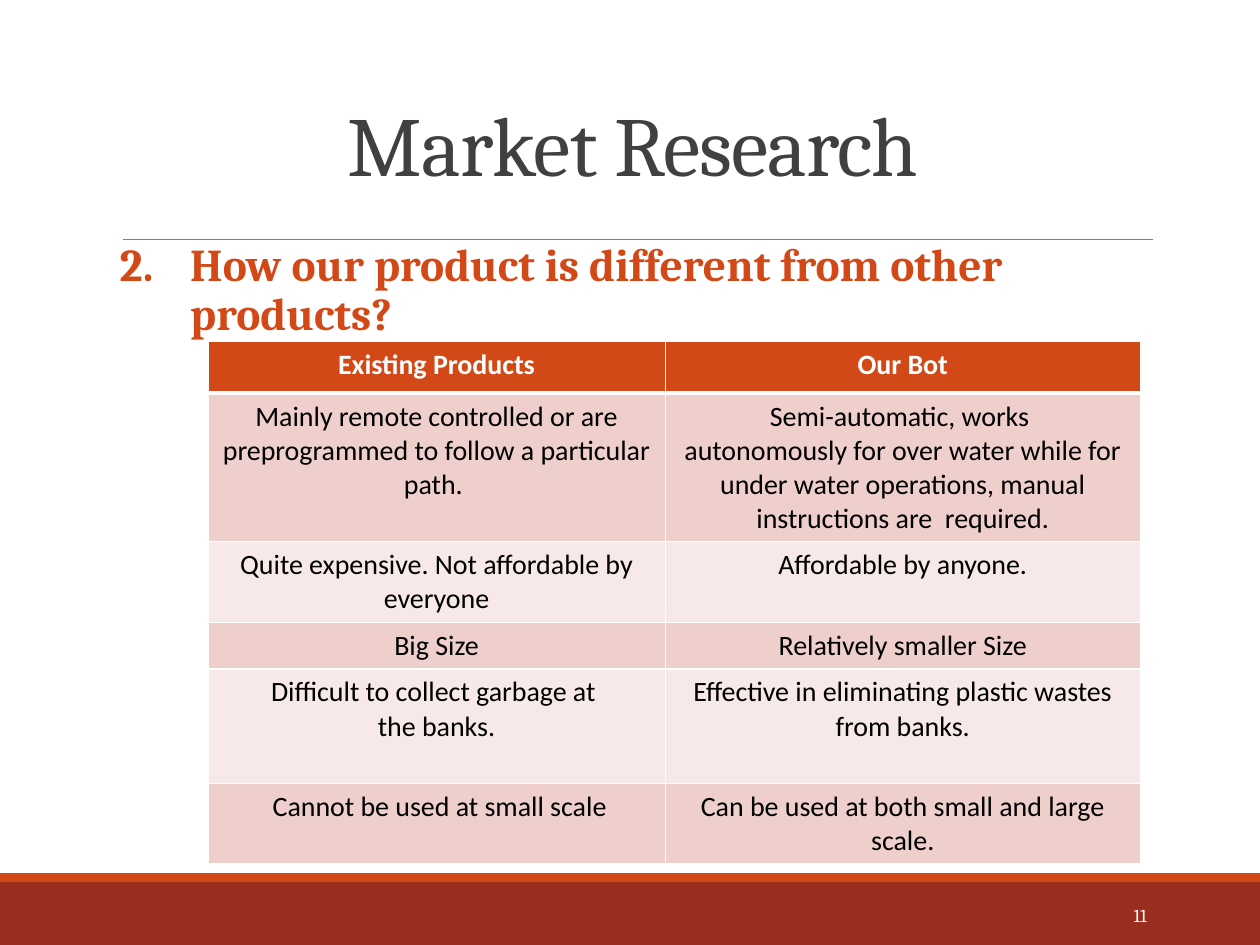
from dataclasses import dataclass

from lxml.etree import SubElement
from pptx import Presentation
from pptx.dml.color import RGBColor
from pptx.enum.shapes import MSO_CONNECTOR, MSO_SHAPE
from pptx.enum.text import MSO_ANCHOR, MSO_AUTO_SIZE, PP_ALIGN
from pptx.oxml.ns import qn
from pptx.util import Inches, Pt

# Content
TITLE = "Market Research"
HEADING = "How our product is different from other products?"
HEADING_NUMBER = 2
PAGE_NUMBER = "11"
COMPARISON = [
    ("Existing Products", "Our Bot"),
    ("Mainly remote controlled or are preprogrammed to follow a particular path. ",
     "Semi-automatic, works \nautonomously for over water while for under water "
     "operations, manual instructions are  required."),
    ("Quite expensive. Not affordable by everyone", "Affordable by anyone."),
    ("Big Size", "Relatively smaller Size"),
    ("Difficult to collect garbage at \nthe banks.",
     "Effective in eliminating plastic wastes from banks."),
    (" Cannot be used at small scale", "Can be used at both small and large scale."),
]


@dataclass(frozen=True)
class Theme:
    accent: str = "D34817"
    footer: str = "9B2D1F"
    title: str = "404040"
    rule: str = "808080"
    dark: str = "000000"
    light: str = "FFFFFF"
    bands: tuple = ("EFCFCC", "F7E9E8")
    serif: str = "Cambria"
    sans: str = "Calibri"
    title_size: float = 48
    heading_size: float = 26
    table_size: float = 16
    number_size: float = 10.5


THEME = Theme()

# Layout, in inches
WIDTH, HEIGHT = 10, 7.5
FOOTER_HEIGHT, STRIPE_HEIGHT = 0.5, 0.07
TEXT_WIDTH = 8.25
HEADING_INDENT = 0.56
TABLE_LEFT, TABLE_TOP = 1.65, 2.71
COLUMNS = (3.63, 3.77)
ROWS = (0.41, 1.18, 0.64, 0.37, 0.91, 0.64)


def rgb(value):
    return RGBColor.from_string(value)


def style(para, font, size, color, bold=False, align=None):
    para.font.name, para.font.size, para.font.bold = font, Pt(size), bold
    para.font.color.rgb = rgb(color)
    para.alignment = align


def add_band(page, top, height, color):
    band = page.shapes.add_shape(
        MSO_SHAPE.RECTANGLE, 0, Inches(top), Inches(WIDTH), Inches(height))
    band.shadow.inherit = False
    band.fill.solid()
    band.fill.fore_color.rgb = rgb(color)
    band.line.fill.background()


def add_text(page, text, left, top, width, height):
    box = page.shapes.add_textbox(*map(Inches, (left, top, width, height)))
    box.text_frame.word_wrap = True
    box.text_frame.text = text
    return box.text_frame


def add_border(cell, side, points):
    line = SubElement(cell._tc.get_or_add_tcPr(), qn(f"a:ln{side}"), w=str(Pt(points)))
    fill = SubElement(line, qn("a:solidFill"))
    SubElement(fill, qn("a:srgbClr"), val=THEME.light)


def add_backdrop(page):
    footer_top = HEIGHT - FOOTER_HEIGHT
    add_band(page, footer_top, FOOTER_HEIGHT, THEME.footer)
    add_band(page, footer_top - STRIPE_HEIGHT, STRIPE_HEIGHT, THEME.accent)
    rule = page.shapes.add_connector(
        MSO_CONNECTOR.STRAIGHT, *map(Inches, (0.98, 1.9, 9.15, 1.9)))
    rule.line.color.rgb = rgb(THEME.rule)
    rule.line.width = Pt(0.5)
    SubElement(rule._element.spPr, qn("a:effectLst"))


def add_title(page):
    title = page.shapes.title
    title.left, title.top, title.width, title.height = map(
        Inches, (0.9, 0.58, TEXT_WIDTH, 1.01))
    frame = title.text_frame
    frame.text = TITLE
    frame.auto_size = MSO_AUTO_SIZE.NONE
    frame.vertical_anchor = MSO_ANCHOR.BOTTOM
    para = frame.paragraphs[0]
    style(para, THEME.serif, THEME.title_size, THEME.title, align=PP_ALIGN.CENTER)
    para.line_spacing = 0.85
    para.runs[0]._r.get_or_add_rPr().set("spc", "-50")


def add_heading(page):
    frame = add_text(page, HEADING, 0.95, 1.87, TEXT_WIDTH, 0.84)
    frame.margin_left = frame.margin_right = 0
    para = frame.paragraphs[0]
    style(para, THEME.serif, THEME.heading_size, THEME.accent, bold=True)
    para.line_spacing = 0.9
    props = para._p.get_or_add_pPr()
    props.set("marL", str(Inches(HEADING_INDENT)))
    props.set("indent", str(-Inches(HEADING_INDENT)))
    number = SubElement(props, qn("a:buAutoNum"),
                        type="arabicPeriod", startAt=str(HEADING_NUMBER))
    props.find(qn("a:defRPr")).addprevious(number)


def add_comparison(page):
    table = page.shapes.add_table(
        len(ROWS), len(COLUMNS), *map(Inches, (TABLE_LEFT, TABLE_TOP, sum(COLUMNS), sum(ROWS)))
    ).table
    for column, width in zip(table.columns, COLUMNS):
        column.width = Inches(width)
    for index, (row, height, texts) in enumerate(zip(table.rows, ROWS, COMPARISON)):
        row.height = Inches(height)
        header = index == 0
        fill = THEME.accent if header else THEME.bands[(index - 1) % 2]
        color = THEME.light if header else THEME.dark
        for cell, text in zip(row.cells, texts):
            cell.text = text
            for para in cell.text_frame.paragraphs:
                style(para, THEME.sans, THEME.table_size, color, header, PP_ALIGN.CENTER)
            for side in "LRTB":
                thick = (header and side == "B") or (index == 1 and side == "T")
                add_border(cell, side, 3 if thick else 1)
            cell.fill.solid()
            cell.fill.fore_color.rgb = rgb(fill)


def add_page_number(page):
    frame = add_text(page, PAGE_NUMBER, 8.12, 7.06, 1.08, 0.4)
    frame.vertical_anchor = MSO_ANCHOR.MIDDLE
    style(frame.paragraphs[0], THEME.serif, THEME.number_size, THEME.light,
          align=PP_ALIGN.RIGHT)


def main():
    deck = Presentation()
    deck.slide_width, deck.slide_height = Inches(WIDTH), Inches(HEIGHT)
    page = deck.slides.add_slide(deck.slide_layouts[5])
    add_backdrop(page)
    add_title(page)
    add_heading(page)
    add_page_number(page)
    add_comparison(page)
    deck.save("out.pptx")


if __name__ == "__main__":
    main()
